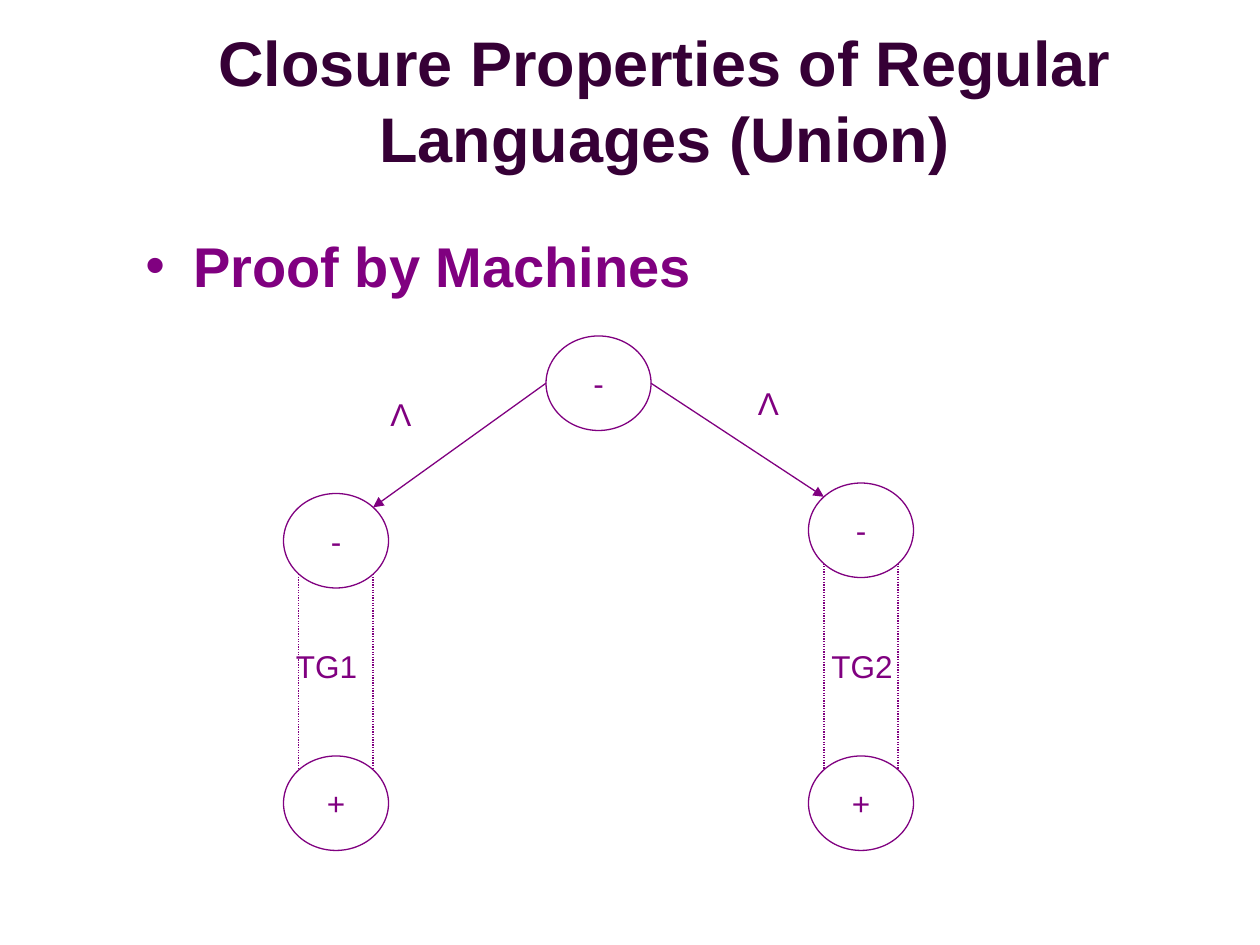
"""Build the slide on the union of regular languages as a diagram of joined machines."""
import dataclasses
import math

import lxml.etree
import pptx
import pptx.dml.color
import pptx.enum.dml
import pptx.enum.shapes
import pptx.enum.text
import pptx.oxml.ns
import pptx.util


@dataclasses.dataclass(frozen=True)
class Theme:
    """Hold the colours, font, type sizes and margins of the deck."""
    title_color: str = "360036"
    ink: str = "800080"
    font: str = "Arial"
    title_size: int = 36
    body_size: int = 32
    label_size: int = 18
    line_width: float = 0.75
    heading_margins: tuple = (0.07, 0.09, 0.07, 0.04)
    label_margins: tuple = (0.1, 0.05, 0.1, 0.05)
    bullet_indent: float = 0.38


class Painter:
    """Draw styled elements on one page, placed on a grid of 120 by 90 cells."""

    columns, rows = 120, 90
    state_size = (10, 9)

    def __init__(self, deck, theme):
        """Add a blank page to the deck."""
        self.theme = theme
        self.page = deck.slides.add_slide(deck.slide_layouts[6])
        self.cell_width = deck.slide_width / self.columns
        self.cell_height = deck.slide_height / self.rows

    def place(self, *cells):
        """Turn alternating columns and rows into lengths."""
        units = (self.cell_width, self.cell_height)
        return [round(cell * units[index % 2]) for index, cell in enumerate(cells)]

    def color(self, value):
        """Return a hexadecimal value as a colour."""
        return pptx.dml.color.RGBColor.from_string(value)

    def child(self, parent, tag, **attributes):
        """Append a drawing element to a parent."""
        return lxml.etree.SubElement(parent, pptx.oxml.ns.qn(tag), attributes)

    def fill_text(self, shape, text, size, color=None, bold=False, centred=False,
                  margins=None, bullet=False):
        """Fill a shape with one styled paragraph."""
        frame = shape.text_frame
        sides = margins or self.theme.label_margins
        (frame.margin_left, frame.margin_top, frame.margin_right,
         frame.margin_bottom) = map(pptx.util.Inches, sides)
        para = frame.paragraphs[0]
        para.text = text
        align = pptx.enum.text.PP_ALIGN
        para.alignment = align.CENTER if centred else align.LEFT
        if bullet:
            self.add_bullet(para)
        para.font.name = self.theme.font
        para.font.size = pptx.util.Pt(size)
        para.font.bold = bold
        para.font.color.rgb = self.color(color or self.theme.ink)
        if centred:
            frame.vertical_anchor = pptx.enum.text.MSO_ANCHOR.MIDDLE

    def add_bullet(self, para):
        """Give a paragraph a hanging round bullet."""
        properties = para._p.get_or_add_pPr()
        indent = pptx.util.Inches(self.theme.bullet_indent)
        properties.set("marL", str(indent))
        properties.set("indent", str(-indent))
        tint = self.child(properties, "a:buClr")
        self.child(tint, "a:srgbClr", val=self.theme.ink)
        self.child(properties, "a:buFont", typeface=self.theme.font)
        self.child(properties, "a:buChar", char="•")

    def text(self, area, text, size, **style):
        """Add a wrapping text box."""
        box = self.page.shapes.add_textbox(*self.place(*area))
        box.text_frame.word_wrap = True
        self.fill_text(box, text, size, **style)

    def stroke(self, line):
        """Apply the common line style."""
        line.color.rgb = self.color(self.theme.ink)
        line.width = pptx.util.Pt(self.theme.line_width)

    def state(self, corner, sign):
        """Add a round machine state with its sign."""
        oval = self.page.shapes.add_shape(
            pptx.enum.shapes.MSO_SHAPE.OVAL, *self.place(*corner, *self.state_size))
        oval.shadow.inherit = False
        oval.fill.background()
        self.stroke(oval.line)
        oval.text_frame.word_wrap = False
        self.fill_text(oval, sign, self.theme.label_size, centred=True)

    def rim(self, corner, angle):
        """Return the point of a state's rim at a clockwise angle from the right."""
        turn = math.radians(angle)
        width, height = self.state_size
        return (corner[0] + width / 2 * (1 + math.cos(turn)),
                corner[1] + height / 2 * (1 + math.sin(turn)))

    def link(self, start, end, arrow=False):
        """Join two points with an arrow or a dotted line."""
        link = self.page.shapes.add_connector(
            pptx.enum.shapes.MSO_CONNECTOR.STRAIGHT, *self.place(*start, *end))
        self.stroke(link.line)
        if arrow:
            self.child(link.line._get_or_add_ln(), "a:tailEnd", type="triangle")
        else:
            link.line.dash_style = pptx.enum.dml.MSO_LINE.ROUND_DOT
        self.child(link._element.spPr, "a:effectLst")


def main():
    """Compose the slide and save it."""
    deck = pptx.Presentation()
    deck.slide_width = pptx.util.Inches(10)
    deck.slide_height = pptx.util.Inches(7.5)
    theme = Theme()
    painter = Painter(deck, theme)

    painter.text((14.9, 2, 96.8, 14.3), "Closure Properties of Regular Languages (Union)",
                 theme.title_size, color=theme.title_color, bold=True, centred=True,
                 margins=theme.heading_margins)
    painter.text((13, 21, 96.8, 8.6), "Proof by Machines", theme.body_size,
                 bold=True, margins=theme.heading_margins, bullet=True)

    root = (52, 32)
    painter.state(root, "-")
    machines = [
        ("TG1", (27, 47), (27, 61), (36, 37), 180, 315),
        ("TG2", (77, 46), (78, 61), (71, 36), 0, 225),
    ]
    for name, start, name_corner, empty_corner, leave, enter in machines:
        final = (start[0], 72)
        painter.state(start, "-")
        painter.state(final, "+")
        painter.link(painter.rim(root, leave), painter.rim(start, enter), arrow=True)
        for angle in (135, 45):
            painter.link(painter.rim(start, angle), painter.rim(final, -angle))
        painter.text((*name_corner, 11, 4.8), name, theme.label_size)
        painter.text((*empty_corner, 8, 4.8), "Λ", theme.label_size)

    deck.save("out.pptx")


if __name__ == "__main__":
    main()
